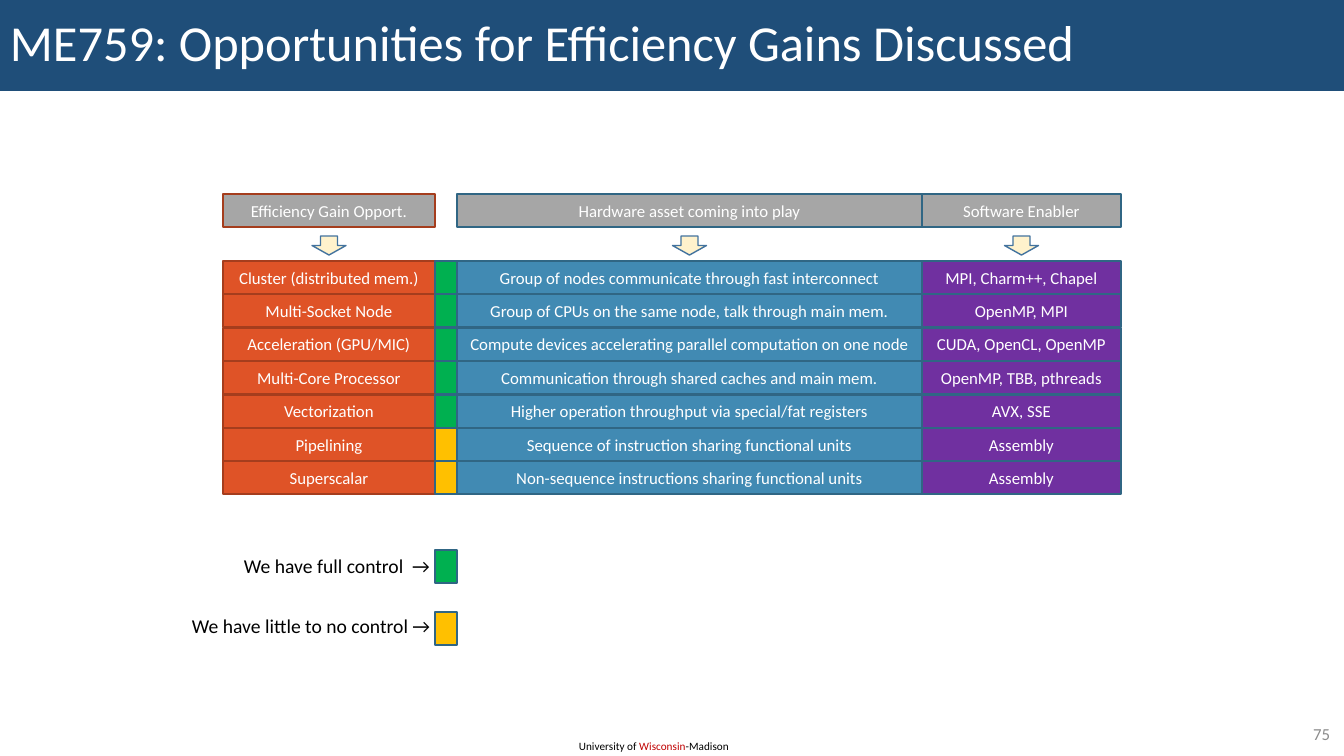
from pptx import Presentation
from pptx.util import Pt
from pptx.dml.color import RGBColor
from pptx.enum.shapes import MSO_SHAPE
from pptx.enum.text import MSO_ANCHOR, PP_ALIGN

RECT = MSO_SHAPE.RECTANGLE
CELL = MSO_SHAPE.FLOWCHART_PROCESS
ARROW = MSO_SHAPE.DOWN_ARROW
MIDDLE, TOP = MSO_ANCHOR.MIDDLE, MSO_ANCHOR.TOP
LEFT, CENTER, RIGHT = PP_ALIGN.LEFT, PP_ALIGN.CENTER, PP_ALIGN.RIGHT

TITLE = "ME759: Opportunities for Efficiency Gains Discussed"
HEADS = ["Efficiency Gain Opport.", "Hardware asset coming into play", "Software Enabler"]
ROWS = [
    ("Cluster (distributed mem.)", "full", "Group of nodes communicate through fast interconnect", "MPI, Charm++, Chapel"),
    ("Multi-Socket Node", "full", "Group of CPUs on the same node, talk through main mem.", "OpenMP, MPI"),
    ("Acceleration (GPU/MIC)", "full", "Compute devices accelerating parallel computation on one node", "CUDA, OpenCL, OpenMP"),
    ("Multi-Core Processor", "full", "Communication through shared caches and main mem.", "OpenMP, TBB, pthreads"),
    ("Vectorization", "full", "Higher operation throughput via special/fat registers", "AVX, SSE"),
    ("Pipelining", "little", "Sequence of instruction sharing functional units", "Assembly"),
    ("Superscalar", "little", "Non-sequence instructions sharing functional units", "Assembly"),
]
LEGEND = [
    ("We have full control  →", "full", 234, 549, 210, 550),
    ("We have little to no control →", "little", 182, 609, 264, 612),
]
FOOTER = [("University of ", "black"), ("Wisconsin", "red"), ("-Madison", "black")]
COLORS = {
    "navy": "1F4E79", "white": "FFFFFF", "black": "000000", "red": "C00000",
    "page": "8C8C8C", "head": "A6A6A6", "gain": "DF5327", "rust": "A53D1D",
    "asset": "418AB3", "edge": "306684", "tool": "7030A0",
    "full": "00B050", "little": "FFC000", "cream": "FFF2CC", "rim": "43739E",
}
GAIN = (223, 212, "gain", "rust")
MARK = (435, 22, None, "edge")
ASSET = (457, 465, "asset", "edge")
TOOL = (922, 199, "tool", "edge")
HEAD_Y, ARROW_Y, ROW_Y = 194, 236, 261
STEP, HIGH = 33.4, 33
ARROW_W, ARROW_H = 34, 19
SCALE = 914400 / 100.8


def emu(*sizes):
    return [round(size * SCALE) for size in sizes]


def color(name):
    return RGBColor.from_string(COLORS[name])


def write(shape, runs, size, align=LEFT, anchor=MIDDLE, wrap=True):
    frame = shape.text_frame
    frame.word_wrap = wrap
    frame.vertical_anchor = anchor
    para = frame.paragraphs[0]
    para.alignment = align
    para.font.name = "Calibri"
    para.font.size = Pt(size)
    for text, tint in runs:
        run = para.add_run()
        run.text = text
        run.font.color.rgb = color(tint)
    return para


def draw(kind, box, fill, line=None, width=1.5):
    shape = slide.shapes.add_shape(kind, *emu(*box))
    shape.shadow.inherit = False
    shape.fill.solid()
    shape.fill.fore_color.rgb = color(fill)
    if line:
        shape.line.color.rgb = color(line)
        shape.line.width = Pt(width)
    else:
        shape.line.fill.background()
    return shape


def label(box, runs, size, **look):
    write(slide.shapes.add_textbox(*emu(*box)), runs, size, **look)


def cell(col, top, fill, text=None):
    left, width, _, line = col
    shape = draw(CELL, (left, top, width, HIGH), fill, line)
    if text:
        shape.text_frame.margin_left = shape.text_frame.margin_right = 0
        write(shape, [(text, "white")], 12, CENTER)


deck = Presentation()
deck.slide_width, deck.slide_height = emu(1344, 756)
slide = deck.slides.add_slide(deck.slide_layouts[6])

banner = draw(RECT, (0, 0, 1344, 91), "navy")
write(banner, [(TITLE, "white")], 36).line_spacing = 0.9

for col, head in zip((GAIN, ASSET, TOOL), HEADS):
    cell(col, HEAD_Y, "head", head)
    mid = col[0] + col[1] / 2
    draw(ARROW, (mid - ARROW_W / 2, ARROW_Y, ARROW_W, ARROW_H), "cream", "rim", 1)

for i, (gain, level, asset, tool) in enumerate(ROWS):
    top = ROW_Y + i * STEP
    for col, text in ((GAIN, gain), (ASSET, asset), (TOOL, tool)):
        cell(col, top, col[2], text)
    cell(MARK, top, level)

for text, level, left, top, width, mark in LEGEND:
    label((left, top, width, 34), [(text, "black")], 14, anchor=TOP, wrap=False)
    cell(MARK, mark, level)

label((569, 734, 174, 24), FOOTER, 8, anchor=TOP)
label((1263, 719, 77, 29), [("75", "page")], 12, align=RIGHT)

deck.save("out.pptx")
